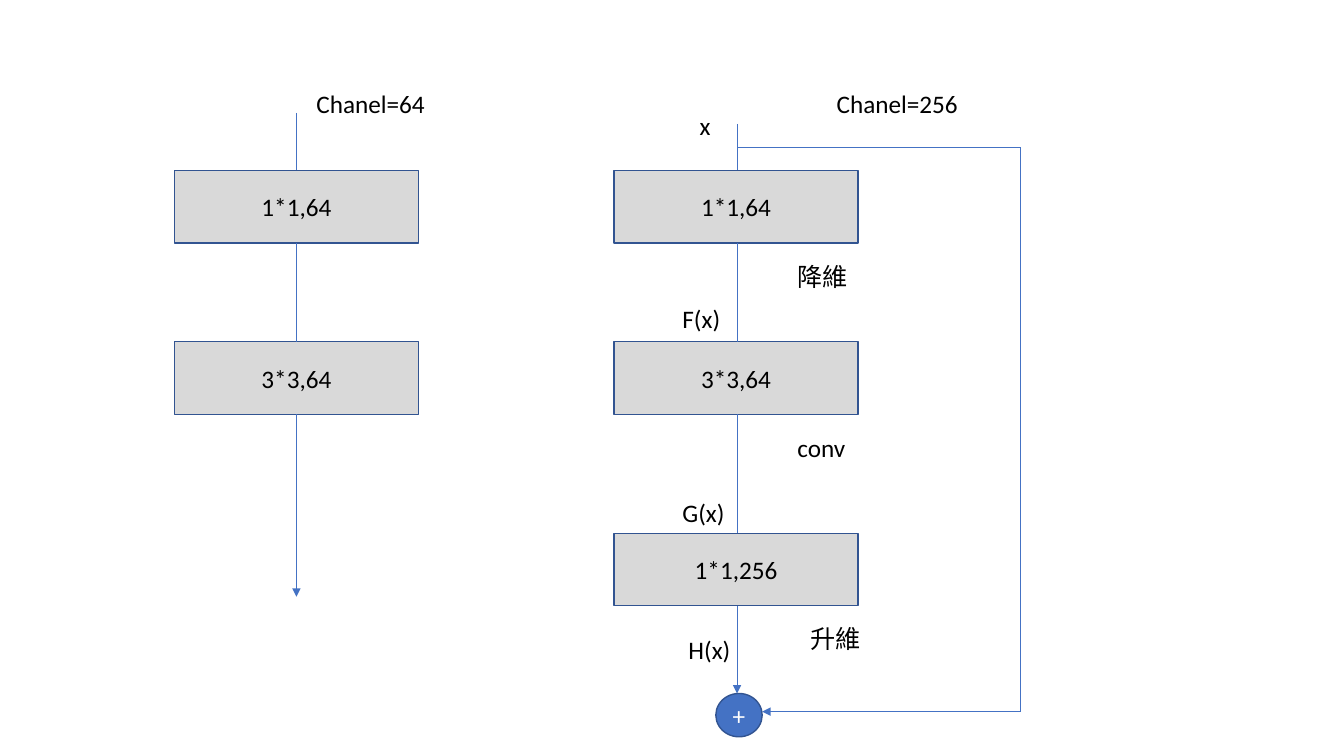
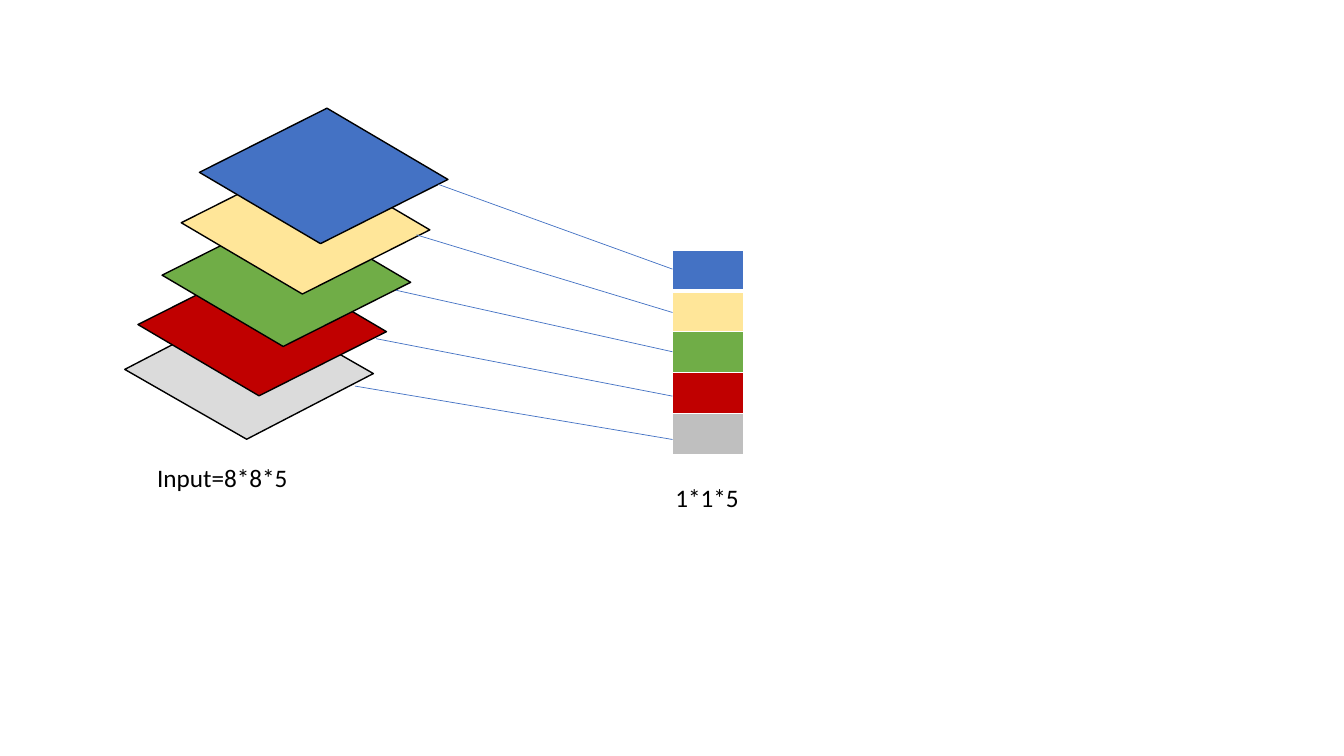
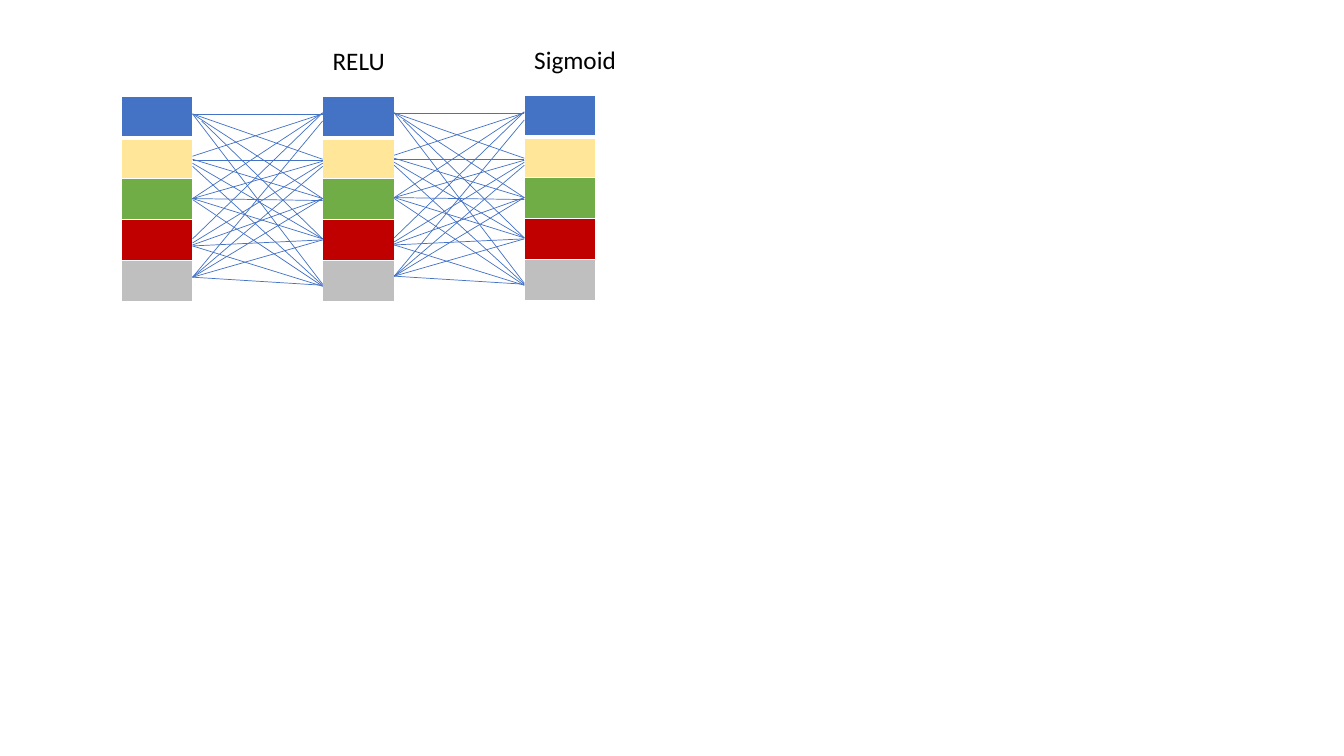
"""Build three slides on residual blocks and squeeze-and-excitation layers."""
import pptx
import pptx.dml.color
import pptx.enum.shapes
import pptx.enum.text
import pptx.oxml
import pptx.oxml.ns
import pptx.util

COLORS = {
    "ink": "000000", "paper": "FFFFFF", "block": "D9D9D9", "edge": "325491",
    "blue": "4472C4", "yellow": "FFE699", "green": "70AD47", "red": "C00000",
    "gray": "BFBFBF", "pale": "DBDBDB",
}
FONT, TEXT_SIZE = "Calibri", 18
SLIDE_W, SLIDE_H = 13.33, 7.5

BLOCK_W, BLOCK_H = 2.42, 0.72
BLOCK_ROWS = (1.69, 3.39, 5.29)
BRANCHES = [
    {"left": 1.73, "axis": 2.94, "start": 1.12, "end": 5.92,
     "blocks": ["1*1,64", "3*3,64"]},
    {"left": 6.09, "axis": 7.31, "start": 1.23, "end": 6.88,
     "blocks": ["1*1,64", "3*3,64", "1*1,256"]},
]
SHORTCUT = [(7.31, 1.46), (10.12, 1.46), (10.12, 7.06), (7.56, 7.06)]
SUM_NODE = ("+", 7.1, 6.88, 0.46, 0.43)
BRANCH_LABELS = [
    ("Chanel=64", 3.04, 0.83, 1.79), ("Chanel=256", 8.2, 0.83, 1.79),
    ("降維", 7.81, 2.54, 1.79), ("conv", 7.81, 4.24, 1.79),
    ("升維", 7.94, 6.13, 1.79), ("x", 6.84, 1.05, 0.51),
    ("F(x)", 6.67, 2.96, 0.75), ("G(x)", 6.67, 4.88, 0.75),
    ("H(x)", 6.73, 6.24, 0.75),
]

CHANNELS = ["blue", "yellow", "green", "red", "gray"]
CELL_W, CELL_H = 0.71, 0.406
MAP_W, MAP_H, MAP_SKEW = 2.16, 1.19, 0.644
FEATURE_MAPS = [
    ("pale", 1.39, 3.09, 209.8), ("red", 1.52, 2.66, 210.5),
    ("green", 1.76, 2.17, 210.5), ("yellow", 1.95, 1.65, 210.5),
    ("blue", 2.13, 1.15, 210.5),
]
POOLED_LEFT, POOLED_TOP = 6.67, 2.48
POOLING = [(4.35, 1.83, 2.67), (4.13, 2.33, 3.1), (3.93, 2.88, 3.49),
           (3.73, 3.36, 3.93), (3.52, 3.83, 4.36)]
POOLING_LABELS = [("Input=8*8*5", 1.46, 4.54, 2.58), ("1*1*5", 6.6, 4.74, 2.58)]

LAYERS = [(1.2, 0.96), (3.2, 0.96), (5.2, 0.95)]
LAYER_LABELS = [("RELU", 3.2, 0.4, 1.82), ("Sigmoid", 5.2, 0.39, 1.82)]
LINK_STARTS = [
    (0.17, 0.17, 0.17, 0.24, 0.17), (0.59, 0.63, 0.62, 0.66, 0.69),
    (1.01, 1.01, 1.01, 1.01, 1.02), (1.41, 1.45, 1.47, 1.48, 1.48),
    (1.79, 1.79, 1.79, 1.79, 1.79),
]
LINK_ENDS = [
    (0.17, 0.62, 1.01, 1.41, 1.86), (0.17, 0.63, 1.01, 1.41, 1.87),
    (0.16, 0.64, 1.03, 1.41, 1.88), (0.16, 0.66, 1.01, 1.42, 1.88),
    (0.24, 0.69, 1.01, 1.42, 1.87),
]
LINK_INSETS = {(0, 3): 0.09}

SHAPES = pptx.enum.shapes.MSO_SHAPE
inch = pptx.util.Inches


def rgb(name):
    return pptx.dml.color.RGBColor.from_string(COLORS[name])


def write(frame, text, color="ink"):
    paragraph = frame.paragraphs[0]
    paragraph.text = text
    paragraph.font.name = FONT
    paragraph.font.size = pptx.util.Pt(TEXT_SIZE)
    paragraph.font.color.rgb = rgb(color)
    return paragraph


def add_label(slide, text, left, top, width):
    box = slide.shapes.add_textbox(inch(left), inch(top), inch(width), inch(0.4))
    box.text_frame.word_wrap = True
    box.text_frame.auto_size = pptx.enum.text.MSO_AUTO_SIZE.SHAPE_TO_FIT_TEXT
    write(box.text_frame, text)


def add_figure(slide, preset, left, top, width, height, fill, edge):
    figure = slide.shapes.add_shape(preset, inch(left), inch(top), inch(width), inch(height))
    figure.shadow.inherit = False
    figure.fill.solid()
    figure.fill.fore_color.rgb = rgb(fill)
    figure.line.color.rgb = rgb(edge)
    figure.line.width = pptx.util.Pt(1)
    return figure


def add_node(slide, preset, text, left, top, width, height, fill, color):
    node = add_figure(slide, preset, left, top, width, height, fill, "edge")
    node.text_frame.vertical_anchor = pptx.enum.text.MSO_ANCHOR.MIDDLE
    write(node.text_frame, text, color).alignment = pptx.enum.text.PP_ALIGN.CENTER


def add_line(slide, start, end, arrow=False):
    line = slide.shapes.add_connector(
        pptx.enum.shapes.MSO_CONNECTOR.STRAIGHT, *map(inch, start + end))
    line.line.color.rgb = rgb("blue")
    line.line.width = pptx.util.Pt(0.5)
    properties = line._element.spPr
    properties.append(pptx.oxml.parse_xml(
        f'<a:effectLst {pptx.oxml.ns.nsdecls("a")}/>'))
    if arrow:
        line.line._get_or_add_ln().append(pptx.oxml.parse_xml(
            f'<a:tailEnd {pptx.oxml.ns.nsdecls("a")} type="triangle"/>'))


def set_borders(cell, widths):
    properties = cell._tc.get_or_add_tcPr()
    for position, (side, width) in enumerate(widths.items()):
        properties.insert(position, pptx.oxml.parse_xml(
            f'<a:ln{side} {pptx.oxml.ns.nsdecls("a")} w="{pptx.util.Pt(width)}">'
            f'<a:solidFill><a:srgbClr val="{COLORS["paper"]}"/></a:solidFill></a:ln{side}>'))


def add_vector(slide, left, top):
    count = len(CHANNELS)
    vector = slide.shapes.add_table(
        count, 1, inch(left), inch(top), inch(CELL_W), inch(CELL_H * count)).table
    for row, channel in enumerate(CHANNELS):
        vector.rows[row].height = inch(CELL_H)
        cell = vector.cell(row, 0)
        cell.fill.solid()
        cell.fill.fore_color.rgb = rgb(channel)
        set_borders(cell, {"L": 1, "R": 1, "T": 3 if row == 1 else 1,
                           "B": 3 if row == 0 else 1})


def build_branches(slide):
    for branch in BRANCHES:
        rows = BLOCK_ROWS[:len(branch["blocks"])]
        for text, top in zip(branch["blocks"], rows):
            add_node(slide, SHAPES.RECTANGLE, text, branch["left"], top,
                     BLOCK_W, BLOCK_H, "block", "ink")
        exits = [branch["start"]] + [top + BLOCK_H for top in rows]
        entries = list(rows) + [branch["end"]]
        for begin, end in zip(exits, entries):
            add_line(slide, (branch["axis"], begin), (branch["axis"], end),
                     end == branch["end"])
    for begin, end in zip(SHORTCUT, SHORTCUT[1:]):
        add_line(slide, begin, end, end == SHORTCUT[-1])
    add_node(slide, SHAPES.OVAL, *SUM_NODE, "blue", "paper")
    for label in BRANCH_LABELS:
        add_label(slide, *label)


def build_pooling(slide):
    for fill, left, top, angle in FEATURE_MAPS:
        feature = add_figure(slide, SHAPES.PARALLELOGRAM, left, top, MAP_W, MAP_H, fill, "ink")
        feature.adjustments[0] = MAP_SKEW
        feature.rotation = angle
    add_vector(slide, POOLED_LEFT, POOLED_TOP)
    for left, begin, end in POOLING:
        add_line(slide, (left, begin), (POOLED_LEFT, end))
    for label in POOLING_LABELS:
        add_label(slide, *label)


def build_excitation(slide):
    for layer in LAYERS:
        add_vector(slide, *layer)
    for (left, _), (right, top) in zip(LAYERS, LAYERS[1:]):
        for source, (starts, ends) in enumerate(zip(LINK_STARTS, LINK_ENDS)):
            for target, (begin, end) in enumerate(zip(starts, ends)):
                inset = LINK_INSETS.get((source, target), 0)
                add_line(slide, (left + CELL_W + inset, top + begin), (right, top + end))
    for label in LAYER_LABELS:
        add_label(slide, *label)


deck = pptx.Presentation()
deck.slide_width, deck.slide_height = inch(SLIDE_W), inch(SLIDE_H)
for build in (build_branches, build_pooling, build_excitation):
    build(deck.slides.add_slide(deck.slide_layouts[6]))
deck.save("out.pptx")
